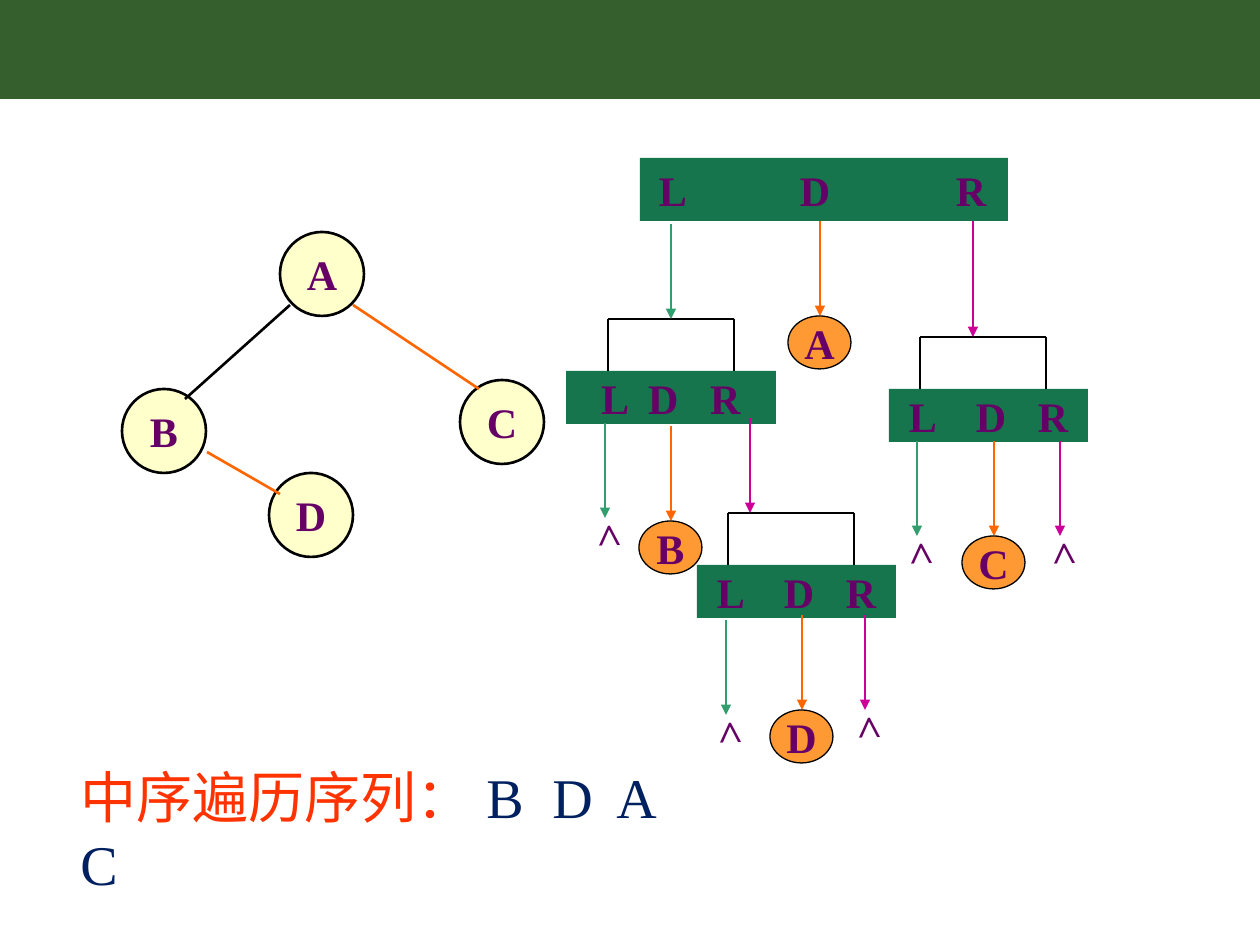
from lxml import etree
from pptx import Presentation
from pptx import util as u
from pptx.dml.color import RGBColor
from pptx.enum import shapes, text
from pptx.oxml.ns import qn

COLORS = {
    "banner": "365F2E", "node": "FFFFCC", "bar": "16754D", "visit": "FF9933",
    "letter": "660066", "black": "000000", "left": "329E6E", "data": "FF6600",
    "right": "CC0099", "label": "FF3300", "order": "002060",
}
FONT = "Times New Roman"
STEP = 95  # length of an arrow
DROP = 52  # height of a bracket


def px(n):
    return u.Emu(round(n * 914400 / 126))


def rgb(name):
    return RGBColor.from_string(COLORS[name])


def add_run(p, words, color="letter", size=24, bold=True):
    r = p.add_run()
    r.text = words
    r.font.name, r.font.size, r.font.bold = FONT, u.Pt(size), bold
    r.font.color.rgb = rgb(color)


def add_tabs(p, stops):
    tabs = etree.SubElement(p._p.get_or_add_pPr(), qn("a:tabLst"))
    for stop in stops:
        etree.SubElement(tabs, qn("a:tab"), pos=str(px(stop)), algn="l")


def add_shape(s, kind, x, y, w, h, fill, weight=0):
    sp = s.shapes.add_shape(kind, px(x), px(y), px(w), px(h))
    sp.shadow.inherit = False
    sp.fill.solid()
    sp.fill.fore_color.rgb = rgb(fill)
    if weight:
        sp.line.color.rgb = rgb("black")
        sp.line.width = u.Pt(weight)
    else:
        sp.line.fill.background()
    return sp


def add_oval(s, letter, x, y, w, h, fill, weight):
    sp = add_shape(s, shapes.MSO_SHAPE.OVAL, x, y, w, h, fill, weight)
    tf = sp.text_frame
    tf.word_wrap = False
    tf.vertical_anchor = text.MSO_ANCHOR.MIDDLE
    p = tf.paragraphs[0]
    p.alignment = text.PP_ALIGN.CENTER
    add_run(p, letter)


def add_line(s, x1, y1, x2, y2, color="black", arrow=False):
    c = s.shapes.add_connector(shapes.MSO_CONNECTOR.STRAIGHT,
                               px(x1), px(y1), px(x2), px(y2))
    c.line.color.rgb = rgb(color)
    c.line.width = u.Pt(1.5)
    if arrow:
        etree.SubElement(c.line._get_or_add_ln(), qn("a:tailEnd"), type="triangle")
    etree.SubElement(c._element.spPr, qn("a:effectLst"))


def add_bar(s, x, y, w, h, letters):
    """Bar with L, D and R starting at the three given offsets."""
    sp = add_shape(s, shapes.MSO_SHAPE.RECTANGLE, x, y, w, h, "bar")
    first, *rest = letters
    tf = sp.text_frame
    tf.word_wrap = True
    tf.vertical_anchor = text.MSO_ANCHOR.MIDDLE
    tf.margin_left, tf.margin_right = px(first), 0
    p = tf.paragraphs[0]
    p.alignment = text.PP_ALIGN.LEFT
    add_tabs(p, [n - first for n in rest])
    add_run(p, "L\tD\tR")


def add_subtree(s, x, y, bar_x, bar_w, letters):
    """Bracket with its top left corner at x, y, over a bar."""
    right, bottom = x + 126, y + DROP
    add_line(s, x, y, right, y)
    for side in (x, right):
        add_line(s, side, y, side, bottom)
    add_bar(s, bar_x, bottom, bar_w, 53, letters)


def add_visit(s, letter, x, y):
    add_line(s, x, y, x, y + STEP, "data", arrow=True)
    add_oval(s, letter, x - 32, y + STEP, 63, 53, "visit", 0.75)


def add_null(s, x, y, color):
    """Arrow to an empty child, marked by a turned angle sign."""
    add_line(s, x, y, x, y + STEP, color, arrow=True)
    sp = s.shapes.add_textbox(px(x - 25), px(y + STEP - 16), px(53), px(63))
    sp.rotation = 268.3
    sp.text_frame.word_wrap = True
    add_run(sp.text_frame.paragraphs[0], ">")


def add_sequence(s):
    sp = s.shapes.add_textbox(px(68), px(756), px(658), px(81))
    tf = sp.text_frame
    tf.word_wrap = True
    p = tf.paragraphs[0]
    add_tabs(p, (406, 472, 536))
    add_run(p, "中序遍历序列：", "label", 32, False)
    add_run(p, "\tB\tD\tA", "order", 32, False)
    p.add_line_break()
    add_run(p, "C", "order", 32, False)


def main():
    prs = Presentation()
    prs.slide_width, prs.slide_height = px(1260), px(945)
    s = prs.slides.add_slide(prs.slide_layouts[6])
    add_shape(s, shapes.MSO_SHAPE.RECTANGLE, 0, 0, 1260, 99, "banner")

    for letter, x, y in (("A", 280, 232), ("D", 269, 473),
                         ("B", 122, 389), ("C", 460, 380)):
        add_oval(s, letter, x, y, 84, 84, "node", 1.5)
    add_line(s, 290, 305, 185, 399)
    add_line(s, 353, 305, 479, 389, "data")
    add_line(s, 207, 452, 280, 494, "data")

    add_bar(s, 640, 158, 368, 63, (19, 160, 316))
    add_subtree(s, 608, 319, 566, 210, (35, 82, 144))
    add_subtree(s, 728, 513, 697, 199, (20, 87, 149))
    add_subtree(s, 920, 337, 889, 199, (20, 87, 149))
    for x, y1, y2, color in ((671, 224, 319, "left"), (750, 418, 513, "right"),
                             (973, 221, 337, "right")):
        add_line(s, x, y1, x, y2, color, arrow=True)

    for letter, x, y in (("A", 820, 221), ("B", 671, 426),
                         ("C", 994, 441), ("D", 802, 615)):
        add_visit(s, letter, x, y)
    for x, y, color in ((605, 423, "left"), (726, 620, "left"), (865, 615, "right"),
                        (917, 441, "left"), (1060, 441, "right")):
        add_null(s, x, y, color)

    add_sequence(s)
    prs.save("out.pptx")


if __name__ == "__main__":
    main()
